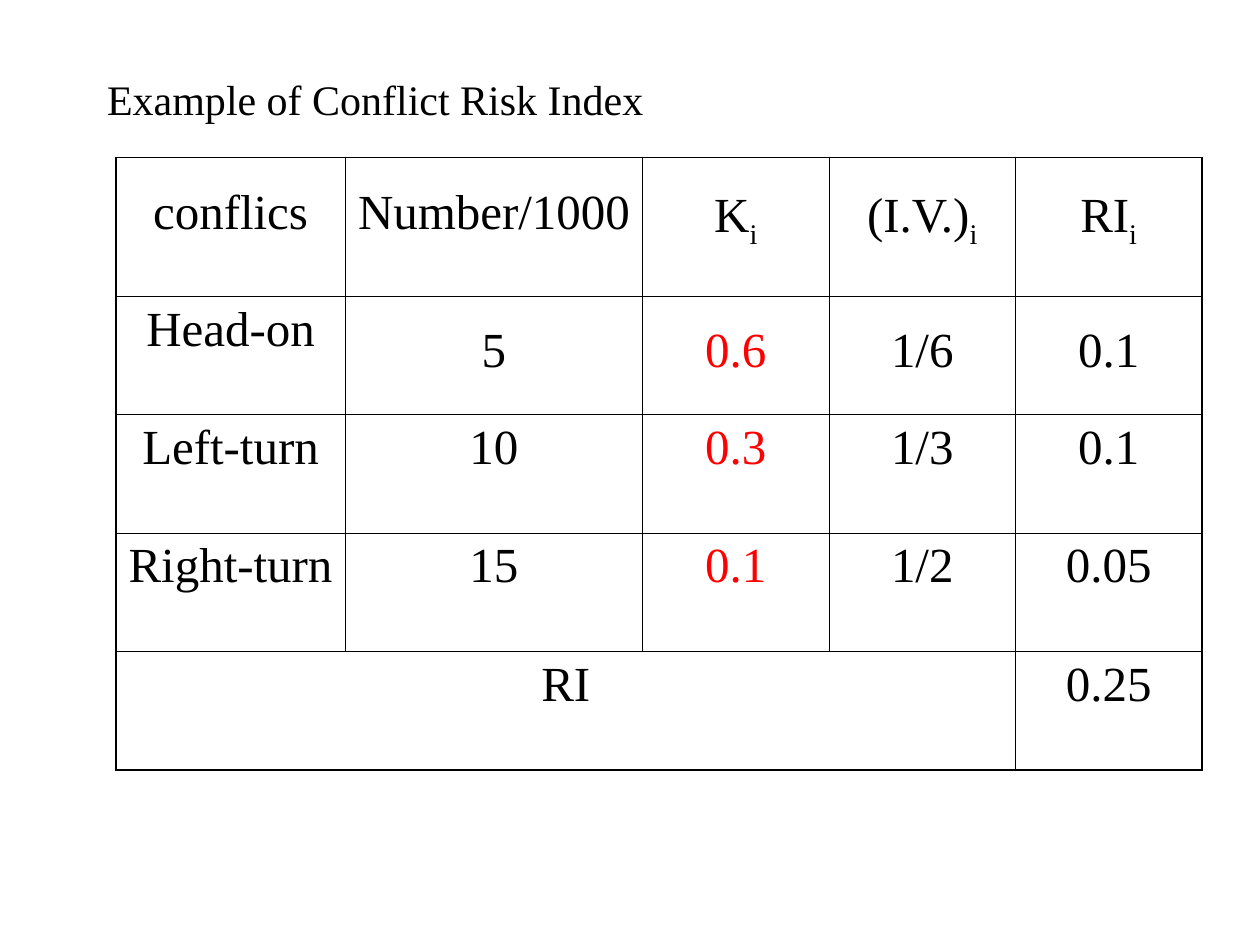
from pptx import Presentation
from pptx.dml.color import RGBColor
from pptx.enum.text import MSO_ANCHOR, MSO_AUTO_SIZE, PP_ALIGN
from pptx.oxml import parse_xml
from pptx.oxml.ns import nsdecls
from pptx.util import Inches, Pt

COLORS = {"ink": "000000", "red": "FF0000"}
FONT = "Times New Roman"
THIN, THICK = 0.45, 1.08
WIDTHS = [1.82, 2.36, 1.48, 1.48, 1.48]
HEIGHTS = [1.1] + [0.94] * 4
# An underscore marks the start of a subscript.
ROWS = [
    ["conflics", "Number/1000", "K_i", "(I.V.)_i", "RI_i"],
    ["Head-on", "5", "0.6", "1/6", "0.1"],
    ["Left-turn", "10", "0.3", "1/3", "0.1"],
    ["Right-turn", "15", "0.1", "1/2", "0.05"],
    ["RI", "", "", "", "0.25"],
]


def style(para, size, color, align):
    para.alignment = align
    para.font.name = FONT
    para.font.size = Pt(size)
    para.font.color.rgb = RGBColor.from_string(COLORS[color])


def edge(cell, side, width):
    """Draw one border of a cell; side is L, R, T or B."""
    cell._tc.get_or_add_tcPr().append(parse_xml(
        f'<a:ln{side} {nsdecls("a")} w="{Pt(width)}"><a:solidFill>'
        f'<a:srgbClr val="{COLORS["ink"]}"/></a:solidFill></a:ln{side}>'))


prs = Presentation()
prs.slide_width, prs.slide_height = Inches(10), Inches(7.5)
slide = prs.slides.add_slide(prs.slide_layouts[5])

title = slide.shapes.title
title.left, title.top = Inches(0.25), Inches(0.53)
title.width, title.height = Inches(9.42), Inches(0.5)
frame = title.text_frame
frame.text = "Example of Conflict Risk Index"
frame.auto_size = MSO_AUTO_SIZE.NONE
frame.vertical_anchor = MSO_ANCHOR.TOP
frame.margin_left = Inches(0.6)
style(frame.paragraphs[0], 24, "ink", PP_ALIGN.LEFT)

table = slide.shapes.add_table(
    len(ROWS), len(WIDTHS), Inches(0.92), Inches(1.25),
    Inches(sum(WIDTHS)), Inches(sum(HEIGHTS))).table
table.first_row = table.horz_banding = False
for col, width in zip(table.columns, WIDTHS):
    col.width = Inches(width)
for row, height in zip(table.rows, HEIGHTS):
    row.height = Inches(height)

last_row, last_col = len(ROWS) - 1, len(WIDTHS) - 1
table.cell(last_row, 0).merge(table.cell(last_row, last_col - 1))

for r, texts in enumerate(ROWS):
    for c, text in enumerate(texts):
        cell = table.cell(r, c)
        if cell.is_spanned:
            continue
        outer = {"L": c == 0, "R": c == last_col, "T": r == 0, "B": r == last_row}
        for side, thick in outer.items():
            edge(cell, side, THICK if thick else THIN)
        cell.fill.background()

        para = cell.text_frame.paragraphs[0]
        red = c == 2 and 0 < r < last_row
        style(para, 28, "red" if red else "ink", PP_ALIGN.CENTER)
        if r == 0 or (r == 1 and c > 0):
            para.line_spacing = 1.4
        base, _, sub = text.partition("_")
        para.add_run().text = base
        if sub:
            run = para.add_run()
            run.text = sub
            run.font._element.set("baseline", "-25000")

prs.save("out.pptx")
